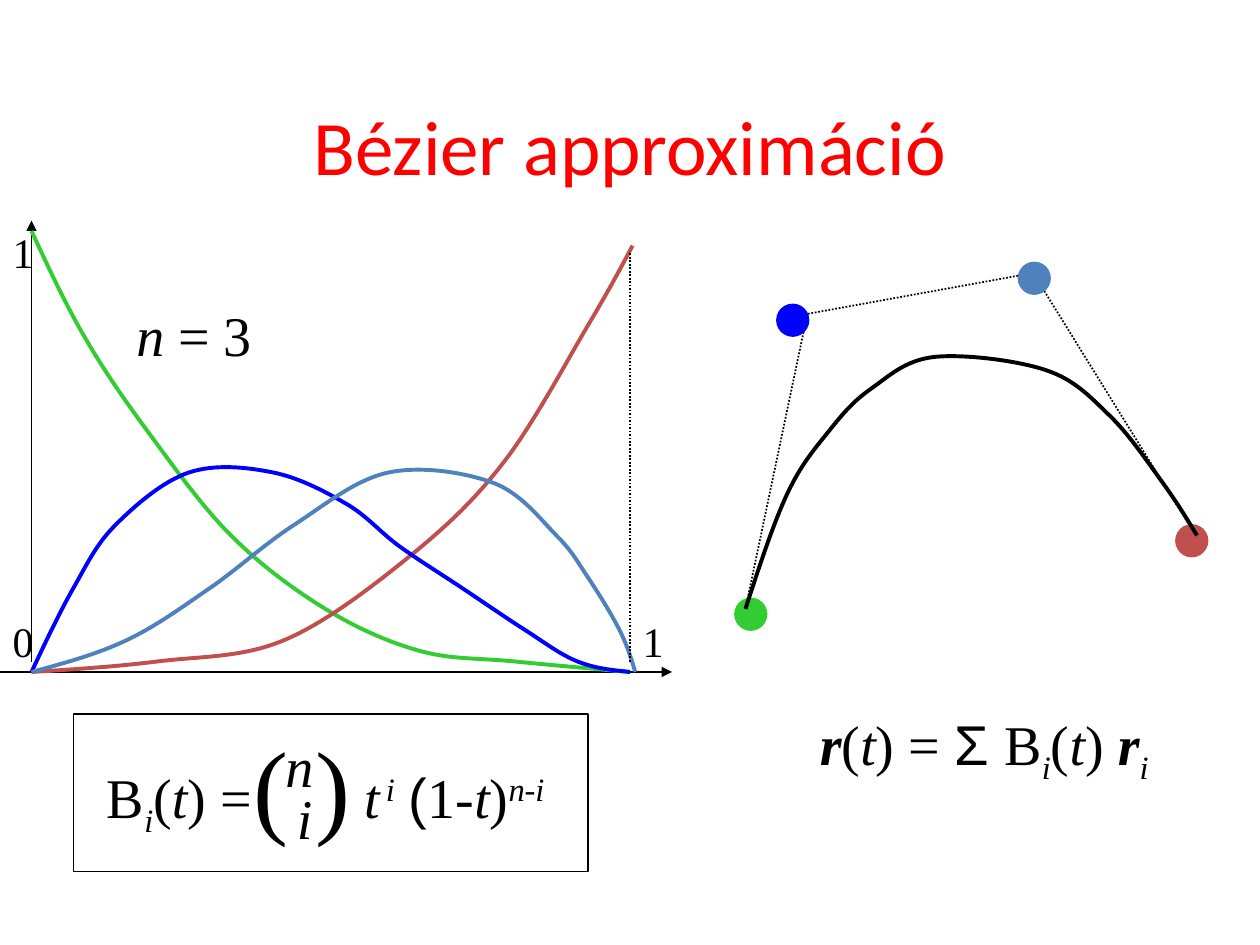
from dataclasses import dataclass
from typing import NamedTuple, Optional

from lxml import etree
from pptx import Presentation
from pptx.dml.color import RGBColor
from pptx.enum.dml import MSO_LINE
from pptx.enum.shapes import MSO_CONNECTOR, MSO_SHAPE
from pptx.enum.text import MSO_ANCHOR, MSO_AUTO_SIZE, PP_ALIGN
from pptx.oxml.ns import qn
from pptx.util import Inches, Pt

STRAIGHT = MSO_CONNECTOR.STRAIGHT
OVAL, RECTANGLE = MSO_SHAPE.OVAL, MSO_SHAPE.RECTANGLE
DOTTED = MSO_LINE.ROUND_DOT
LEFT, CENTER = PP_ALIGN.LEFT, PP_ALIGN.CENTER
MIDDLE = MSO_ANCHOR.MIDDLE
FIT_SHAPE = MSO_AUTO_SIZE.SHAPE_TO_FIT_TEXT

# The slide is a grid of 120 columns and 90 rows
COLUMNS, ROWS = 120, 90
SLIDE_WIDTH, SLIDE_HEIGHT = Inches(10), Inches(7.5)
DOT_SIZE = 3


@dataclass(frozen=True)
class Theme:
    title: str = "FF0000"
    ink: str = "000000"
    green: str = "33CC33"
    blue: str = "0000FF"
    steel: str = "4F81BD"
    red: str = "C0504D"
    title_font: str = "Calibri"
    math_font: str = "Times New Roman"
    symbol_font: str = "Arial"
    title_size: float = 44
    bracket_size: float = 60
    formula_size: float = 32
    label_size: float = 24
    gap_size: float = 14
    thin: float = 1
    thick: float = 2.25


THEME = Theme()


class Point(NamedTuple):
    col: float
    row: float


class Box(NamedTuple):
    col: float
    row: float
    cols: float
    rows: float


class Piece(NamedTuple):
    text: str
    italic: bool = False
    bold: bool = False
    baseline: int = 0
    size: Optional[float] = None
    font: Optional[str] = None


class Term(NamedTuple):
    """A control point and the weight function of the same colour."""
    color: str
    dot: Point
    knots: list


def x(col: float) -> int:
    return round(SLIDE_WIDTH * col / COLUMNS)


def y(row: float) -> int:
    return round(SLIDE_HEIGHT * row / ROWS)


def place(box: Box) -> tuple:
    return x(box.col), y(box.row), x(box.cols), y(box.rows)


def style_line(line, color: str, width: float, dash=None) -> None:
    line.color.rgb = RGBColor.from_string(color)
    line.width = Pt(width)
    if dash is not None:
        line.dash_style = dash


def add_line(slide, start: Point, end: Point, dash=None, arrow: bool = False) -> None:
    line = slide.shapes.add_connector(STRAIGHT, x(start.col), y(start.row), x(end.col), y(end.row))
    style_line(line.line, THEME.ink, THEME.thin, dash)
    if arrow:
        etree.SubElement(line.line._get_or_add_ln(), qn("a:tailEnd"), type="triangle")
    etree.SubElement(line.element.spPr, qn("a:effectLst"))


def add_outline(slide, points: list, color: str, width: float, dash=None):
    corners = [(x(col), y(row)) for col, row in points]
    builder = slide.shapes.build_freeform(*corners[0])
    builder.add_line_segments(corners[1:], close=False)
    outline = builder.convert_to_shape()
    outline.shadow.inherit = False
    outline.fill.background()
    style_line(outline.line, color, width, dash)
    return outline


def midpoint(a: Point, b: Point) -> Point:
    return Point((a.col + b.col) / 2, (a.row + b.row) / 2)


def bezier_points(knots: list) -> list:
    """Smooth the knots: each tangent is parallel to the chord of its neighbours."""
    handles = []
    for before, knot, after in zip(knots, knots[1:], knots[2:]):
        dx, dy = (after[0] - before[0]) / 6, (after[1] - before[1]) / 6
        handles.append((Point(knot[0] - dx, knot[1] - dy), Point(*knot),
                        Point(knot[0] + dx, knot[1] + dy)))
    first, last = Point(*knots[0]), Point(*knots[-1])
    inner = [point for handle in handles for point in handle]
    return [first, midpoint(first, inner[0]), *inner, midpoint(inner[-1], last), last]


def add_curve(slide, knots: list, color: str) -> None:
    curve = add_outline(slide, bezier_points(knots), color, THEME.thick)
    segments = list(curve.element.iter(qn("a:lnTo")))
    for triple in zip(segments[::3], segments[1::3], segments[2::3]):
        bend = etree.Element(qn("a:cubicBezTo"))
        triple[0].addprevious(bend)
        for segment in triple:
            bend.append(segment[0])
            segment.getparent().remove(segment)


def add_dot(slide, corner: Point, color: str) -> None:
    dot = slide.shapes.add_shape(OVAL, *place(Box(*corner, DOT_SIZE, DOT_SIZE)))
    dot.shadow.inherit = False
    dot.fill.solid()
    dot.fill.fore_color.rgb = RGBColor.from_string(color)
    style_line(dot.line, color, THEME.thin)


def add_math(slide, box: Box, pieces: list, size: float, align=LEFT, tab: float = 0) -> None:
    frame = slide.shapes.add_textbox(*place(box)).text_frame
    frame.word_wrap = bool(tab)
    frame.auto_size = FIT_SHAPE
    paragraph = frame.paragraphs[0]
    paragraph.alignment = align
    if tab:
        stops = etree.SubElement(paragraph._p.get_or_add_pPr(), qn("a:tabLst"))
        etree.SubElement(stops, qn("a:tab"), pos=str(x(tab)), algn="l")
    paragraph.font.name = THEME.math_font
    paragraph.font.size = Pt(size)
    paragraph.font.color.rgb = RGBColor.from_string(THEME.ink)
    for piece in pieces:
        run = paragraph.add_run()
        run.text = piece.text
        if piece.italic:
            run.font.italic = True
        if piece.bold:
            run.font.bold = True
        if piece.size:
            run.font.size = Pt(piece.size)
        if piece.font:
            run.font.name = piece.font
        if piece.baseline:
            run._r.get_or_add_rPr().set("baseline", str(piece.baseline * 1000))


TERMS = [
    Term(THEME.green, Point(70, 57), [(3, 22), (8, 32), (14, 41), (22, 51), (31, 58), (40, 62),
                                      (49, 63), (60, 64)]),
    Term(THEME.red, Point(112, 50), [(3, 64), (15, 63), (27, 61), (39, 53), (48, 44), (56, 31),
                                     (60.25, 23.4)]),
    Term(THEME.blue, Point(74, 29), [(3, 64), (7, 56), (11, 50), (18, 45), (26, 45), (33, 48),
                                     (38, 52), (44, 56), (50, 60), (55, 63), (60, 64)]),
    Term(THEME.steel, Point(97, 25), [(3, 64), (12, 61), (20, 56), (28, 50), (37, 45), (47, 46),
                                      (53, 51), (56, 55), (59, 60), (60.5, 64)]),
]
CONTROL_POLYGON = [(71, 58), (76.9, 29.9), (98.4, 26), (114, 51.2)]
BEZIER_CURVE = [(71, 58), (75, 47), (79, 41), (83, 37), (89, 34), (99.6, 35.25), (105.7, 39.6),
                (110.75, 46), (114, 51)]

T = Piece("t", italic=True)
INDEX = Piece("i", italic=True, baseline=-25)
VECTOR = Piece("r", italic=True, bold=True)
WEIGHT = [Piece("B"), INDEX, Piece("("), T]
WEIGHT_FORMULA = [*WEIGHT, Piece(") =\t"), T, Piece(" ", italic=True, size=THEME.gap_size),
                  Piece("i", italic=True, baseline=30), Piece(" "),
                  Piece("(", font=THEME.symbol_font), Piece("1-"), T, Piece(")"),
                  Piece("n-i", italic=True, baseline=30)]
CURVE_FORMULA = [VECTOR, Piece("("), T, Piece(") = "), Piece("Σ ", font=THEME.symbol_font),
                 *WEIGHT, Piece(") "), VECTOR, INDEX]
AXIS_LABELS = [("0", Point(0, 58)), ("1", Point(0, 21)), ("1", Point(60, 58))]


def main() -> None:
    deck = Presentation()
    deck.slide_width, deck.slide_height = SLIDE_WIDTH, SLIDE_HEIGHT
    slide = deck.slides.add_slide(deck.slide_layouts[5])

    # Title
    title = slide.shapes.title
    title.left, title.top, title.width, title.height = place(Box(1, 6.25, 118, 15))
    title.text_frame.text = "Bézier approximáció"
    title.text_frame.vertical_anchor = MIDDLE
    heading = title.text_frame.paragraphs[0]
    heading.alignment = CENTER
    heading.font.name = THEME.title_font
    heading.font.size = Pt(THEME.title_size)
    heading.font.color.rgb = RGBColor.from_string(THEME.title)

    # Formulas
    add_math(slide, Box(9, 72, 46.5, 7.5), WEIGHT_FORMULA, THEME.formula_size, tab=24.5)
    add_math(slide, Box(23, 68, 12, 13.2), [Piece("( )")], THEME.bracket_size)
    add_math(slide, Box(26, 69.1, 5, 7.5), [Piece("n", italic=True)], THEME.formula_size)
    add_math(slide, Box(27.1, 74, 3.9, 7.5), [Piece("i", italic=True)], THEME.formula_size)
    add_math(slide, Box(76.9, 67, 34, 7.7), CURVE_FORMULA, THEME.formula_size)
    formula_border = slide.shapes.add_shape(RECTANGLE, *place(Box(7, 68, 49, 15)))
    formula_border.shadow.inherit = False
    formula_border.fill.background()
    style_line(formula_border.line, THEME.ink, THEME.thin)

    # Axes
    add_line(slide, Point(3, 63), Point(3, 21), arrow=True)
    add_line(slide, Point(0, 64), Point(64, 64), arrow=True)
    for label, corner in AXIS_LABELS:
        add_math(slide, Box(*corner, 4.4, 6), [Piece(label)], THEME.label_size, CENTER)

    # Control polygon, weight functions and the resulting curve
    add_outline(slide, CONTROL_POLYGON, THEME.ink, THEME.thin, DOTTED)
    for term in TERMS:
        add_dot(slide, term.dot, term.color)
    for term in TERMS:
        add_curve(slide, term.knots, term.color)
    add_curve(slide, BEZIER_CURVE, THEME.ink)
    add_line(slide, Point(60, 63), Point(60, 24), DOTTED)

    # Degree
    add_math(slide, Box(11.8, 28, 13.4, 7.5), [Piece("n ", italic=True), Piece("= 3")],
             THEME.formula_size, CENTER)

    deck.save("out.pptx")


if __name__ == "__main__":
    main()
